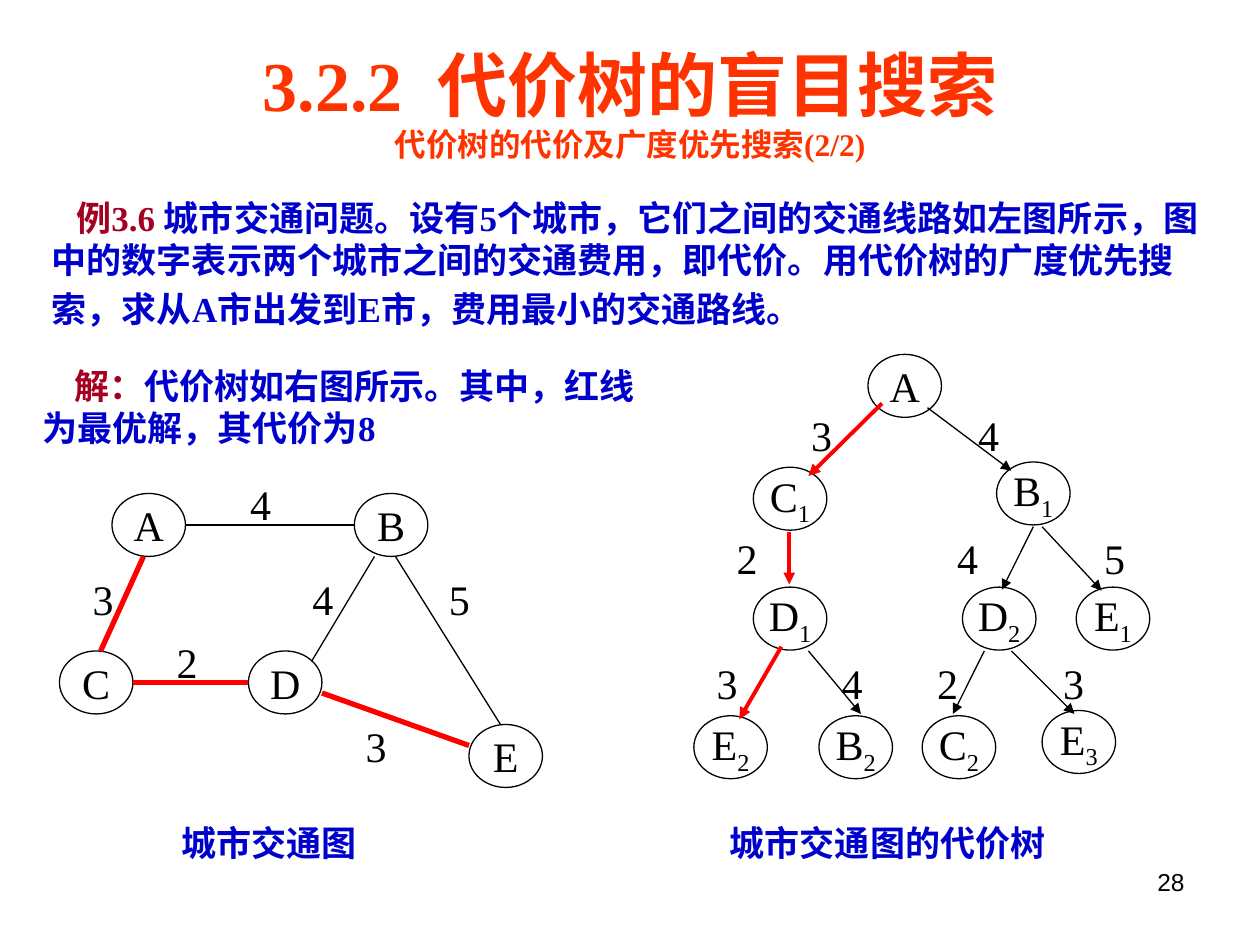
from lxml import etree
from pptx import Presentation
from pptx.dml.color import RGBColor
from pptx.enum.shapes import MSO_CONNECTOR, MSO_SHAPE
from pptx.enum.text import MSO_ANCHOR, PP_ALIGN
from pptx.oxml.ns import qn
from pptx.util import Pt

LEFT, CENTER, RIGHT = PP_ALIGN.LEFT, PP_ALIGN.CENTER, PP_ALIGN.RIGHT
MIDDLE = MSO_ANCHOR.MIDDLE
OVAL, STRAIGHT = MSO_SHAPE.OVAL, MSO_CONNECTOR.STRAIGHT
COLORS = {"black": "000000", "red": "FF0000", "title": "FF3300",
          "lead": "A50021", "body": "0000CC"}
SERIF = "Times New Roman"

presentation = Presentation()
presentation.slide_width, presentation.slide_height = Pt(720), Pt(540)
slide = presentation.slides.add_slide(presentation.slide_layouts[6])


def add_run(paragraph, text, size=24, color="black", bold=False, name=SERIF):
    run = paragraph.add_run()
    run.text = text
    values = {"size": Pt(size), "bold": bold, "name": name}
    for attribute, value in values.items():
        setattr(run.font, attribute, value)
    run.font.color.rgb = RGBColor.from_string(COLORS[color])
    return run


def add_text(box, paragraphs, align=LEFT, indent=0):
    frame = slide.shapes.add_textbox(*map(Pt, box)).text_frame
    frame.word_wrap = True
    for index, runs in enumerate(paragraphs):
        paragraph = frame.add_paragraph() if index else frame.paragraphs[0]
        paragraph.alignment = align
        if indent:
            paragraph._p.get_or_add_pPr().set("indent", str(Pt(indent)))
        for run in runs:
            add_run(paragraph, *run)


# Title, problem, solution, captions and page number
add_text((54, 20, 612, 77), [
    [("3.2.2  代价树的盲目搜索", 40, "title", True)],
    [("代价树的代价及广度优先搜索(2/2)", 18, "title", True)],
], CENTER)
add_text((22.5, 109, 674.5, 84), [[
    ("例3.6 ", 20, "lead", True),
    ("城市交通问题。设有5个城市，它们之间的交通线路如左图所示，"
     "图中的数字表示两个城市之间的交通费用，即代价。用代价树的广度优先搜索，"
     "求从A市出发到E市，费用最小的交通路线。", 20, "body", True),
    (" ", 24, "body"),
]], indent=14)
add_text((17.25, 204.5, 366, 55), [[
    ("解：", 20, "lead", True),
    ("代价树如右图所示。其中，红线为最优解，其代价为8", 20, "body", True),
]], indent=18)
for left, caption in ((96.5, "城市交通图"), (410, "城市交通图的代价树")):
    add_text((left, 466, 230, 36), [[(caption, 20, "body", True)]])
add_text((516, 492, 168, 37), [[("28", 14, "black", False, "Arial")]], RIGHT)

# Nodes: name, subscript, left, top
nodes = [
    # City map
    ("A", "", 64, 282), ("B", "", 202.5, 282), ("C", "", 34, 372),
    ("D", "", 142, 372), ("E", "", 268, 414),
    # Cost tree
    ("A", "", 496, 202.5), ("C", "1", 430.5, 267), ("B", "1", 569.5, 264),
    ("D", "1", 430.5, 335.5), ("D", "2", 550, 335.5), ("E", "1", 615, 335.5),
    ("E", "2", 396.5, 409), ("B", "2", 468, 409), ("C", "2", 527, 409),
    ("E", "3", 595.5, 406),
]
for name, subscript, left, top in nodes:
    node = slide.shapes.add_shape(OVAL, Pt(left), Pt(top), Pt(42), Pt(36))
    node.shadow.inherit = False
    node.fill.background()
    node.line.color.rgb = RGBColor.from_string(COLORS["black"])
    node.line.width = Pt(0.75)
    frame = node.text_frame
    frame.word_wrap = False
    frame.vertical_anchor = MIDDLE
    paragraph = frame.paragraphs[0]
    paragraph.alignment = CENTER
    add_run(paragraph, name)
    if subscript:
        run = add_run(paragraph, subscript)
        run._r.get_or_add_rPr().set("baseline", "-25000")

# Edges: start x, start y, end x, end y, colour
map_edges = [
    (82, 318, 57.5, 372, "red"), (106, 300, 202.5, 300, "black"),
    (76, 390, 142, 390, "red"), (178, 378, 214, 318, "black"),
    (184, 396, 268, 426, "red"), (226, 318, 286, 414, "black"),
]
tree_edges = [
    (504, 230.5, 462, 272, "red"), (530, 233, 578, 269, "black"),
    (451, 304, 451, 334, "red"), (590.5, 301, 572.5, 337, "black"),
    (595.5, 301, 629.5, 337.5, "black"), (446.5, 369.5, 422.5, 411, "red"),
    (462, 372, 492, 408, "black"), (562.5, 372, 544.5, 408, "black"),
    (578, 372, 614, 408, "black"),
]
for edges, red_width, arrow in ((map_edges, 3, False), (tree_edges, 2.25, True)):
    for *ends, color in edges:
        edge = slide.shapes.add_connector(STRAIGHT, *map(Pt, ends))
        edge.line.color.rgb = RGBColor.from_string(COLORS[color])
        edge.line.width = Pt(red_width if color == "red" else 0.75)
        if arrow:
            etree.SubElement(edge.line._get_or_add_ln(), qn("a:tailEnd"), type="triangle")
        etree.SubElement(edge._element.spPr, qn("a:effectLst"))

# Costs by row: top, then centre x and cost
cost_rows = [
    # City map
    (270, [(149, 4)]), (324, [(59, 3), (184.5, 4), (262.5, 5)]),
    (360, [(107, 2)]), (408, [(215, 3)]),
    # Cost tree
    (230.5, [(469.5, 3), (565, 4)]),
    (301, [(427, 2), (553, 4), (637, 5)]),
    (372, [(415.5, 3), (487, 4), (541.5, 2), (613.5, 3)]),
]
for top, costs in cost_rows:
    for center, cost in costs:
        add_text((center - 15, top, 30, 36), [[(str(cost),)]], CENTER)

presentation.save("out.pptx")
